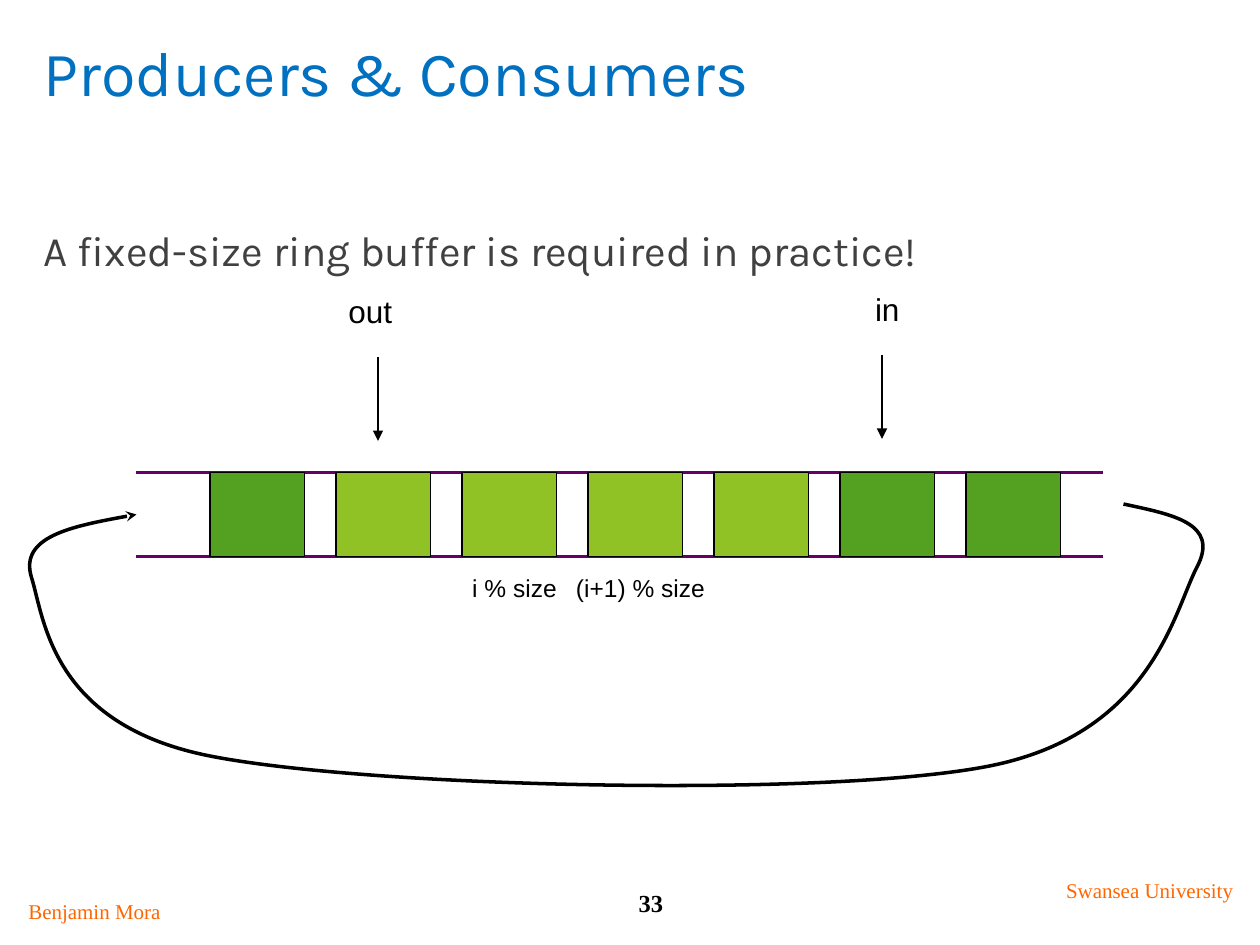
import pptx
import pptx.dml.color
import pptx.enum.shapes
import pptx.enum.text
import pptx.oxml.ns
import pptx.util
from lxml import etree

CELL = pptx.util.Inches(1) / 12
COLUMNS, ROWS = 120, 90
ALIGN = pptx.enum.text.PP_ALIGN
LOOP_START = (107, 48)
LOOP_POINTS = [
    (111.6, 49), (116.2, 49.8), (114, 54),
    (111.8, 58.2), (109.7, 70), (94, 73),
    (78.3, 76), (35.2, 75), (20, 72),
    (4.8, 69), (4.2, 58.8), (3, 55),
    (1.8, 51.1), (7.4, 50), (13, 49),
]


def cells(*values):
    """Convert grid cells to slide lengths."""
    return [pptx.util.Emu(round(value * CELL)) for value in values]


def color(value):
    """Return a colour from a hex string."""
    return pptx.dml.color.RGBColor.from_string(value)


def style_line(line, value, width, arrow=None):
    """Set the colour, width and optional end arrowhead of a line."""
    line.color.rgb = color(value)
    line.width = pptx.util.Pt(width)
    if arrow:
        properties = line._get_or_add_ln()
        etree.SubElement(properties, pptx.oxml.ns.qn("a:tailEnd"), type=arrow)


def add_text(slide, box, text, font, size, value, align=ALIGN.LEFT, bold=False, top=0.6):
    """Add a one-paragraph text box with its top inset in cells."""
    shape = slide.shapes.add_textbox(*cells(*box))
    frame = shape.text_frame
    frame.word_wrap = True
    frame.margin_top = cells(top)[0]
    frame.text = text
    paragraph = frame.paragraphs[0]
    paragraph.alignment = align
    paragraph.font.name = font
    paragraph.font.size = pptx.util.Pt(size)
    paragraph.font.bold = bold
    paragraph.font.color.rgb = color(value)


def add_line(slide, start, end, value, width, arrow=None):
    """Add a straight connector without a shadow."""
    connector = slide.shapes.add_connector(
        pptx.enum.shapes.MSO_CONNECTOR.STRAIGHT, *cells(*start, *end))
    style_line(connector.line, value, width, arrow)
    etree.SubElement(connector._element.spPr, pptx.oxml.ns.qn("a:effectLst"))


def add_headings(slide, left, top, width):
    """Add the title and the statement below it."""
    add_text(slide, (left, top, width, 11), "Producers & Consumers",
             "Karla", 36, "0070C0", top=1.2)
    add_text(slide, (left, top + 12, width, 69),
             "A fixed-size ring buffer is required in practice!",
             "Karla", 24, "404040", top=7.4)


def add_footer(slide, left, top):
    """Add the page number, author and university."""
    font = "Times New Roman"
    add_text(slide, (left + 53, top + 1, 16, 4), "33", font, 14, "000000", ALIGN.CENTER, True)
    for column, row, width, text in ((0, 2, 16, "Benjamin Mora"),
                                     (99, 0, 19, "Swansea University")):
        add_text(slide, (left + column, top + row, width, 3.6), text,
                 font, 12, "FF6600", ALIGN.CENTER)


def add_buffer(slide, left, top, width, height):
    """Add the rails and the evenly spaced slots of the buffer."""
    for row in (top, top + height):
        add_line(slide, (left, row), (left + width, row), "660066", 2.25)
    for index in range(7):
        slot = slide.shapes.add_shape(
            pptx.enum.shapes.MSO_SHAPE.RECTANGLE,
            *cells(left + 7 + 12 * index, top, 9, height))
        slot.shadow.inherit = False
        slot.fill.solid()
        slot.fill.fore_color.rgb = color("90C226" if 1 <= index <= 4 else "54A021")
        style_line(slot.line, "000000", 0.75)
    for column, text in ((28, "i % size"), (40, "(i+1) % size")):
        add_text(slide, (left + column, top + 9, 16, 4), text,
                 "Arial", 14, "000000", ALIGN.CENTER)


def add_pointer(slide, left, top, text, align):
    """Add a pointer label with an arrow below it."""
    add_text(slide, (left, top, 9, 4.8), text, "Arial", 18, "000000", align)
    add_line(slide, (left + 4, top + 6.8), (left + 4, top + 14.8), "000000", 0.75, "triangle")


def add_loop(slide, left, top):
    """Add the curved arrow that joins the end of the buffer to its start."""
    start, *points = [cells(left + column, top + row)
                      for column, row in [LOOP_START] + LOOP_POINTS]
    builder = slide.shapes.build_freeform(*start)
    builder.add_line_segments(points, close=False)
    shape = builder.convert_to_shape()
    shape.shadow.inherit = False
    shape.fill.background()
    style_line(shape.line, "000000", 2, "stealth")
    segments = list(shape._element.iter(pptx.oxml.ns.qn("a:lnTo")))
    outline = segments[0].getparent()
    for index in range(0, len(segments), 3):
        curve = etree.SubElement(outline, pptx.oxml.ns.qn("a:cubicBezTo"))
        for segment in segments[index:index + 3]:
            curve.append(segment[0])
            outline.remove(segment)


def main():
    """Build and save the ring buffer slide."""
    presentation = pptx.Presentation()
    presentation.slide_width, presentation.slide_height = cells(COLUMNS, ROWS)
    slide = presentation.slides.add_slide(presentation.slide_layouts[6])
    add_headings(slide, 3, 2, COLUMNS - 6)
    add_footer(slide, 1, 83)
    add_buffer(slide, 13, 45, 92, 8)
    add_pointer(slide, 32, 27.2, "out", ALIGN.LEFT)
    add_pointer(slide, 80, 27, "in", ALIGN.CENTER)
    add_loop(slide, 0, 0)
    presentation.save("out.pptx")


if __name__ == "__main__":
    main()
